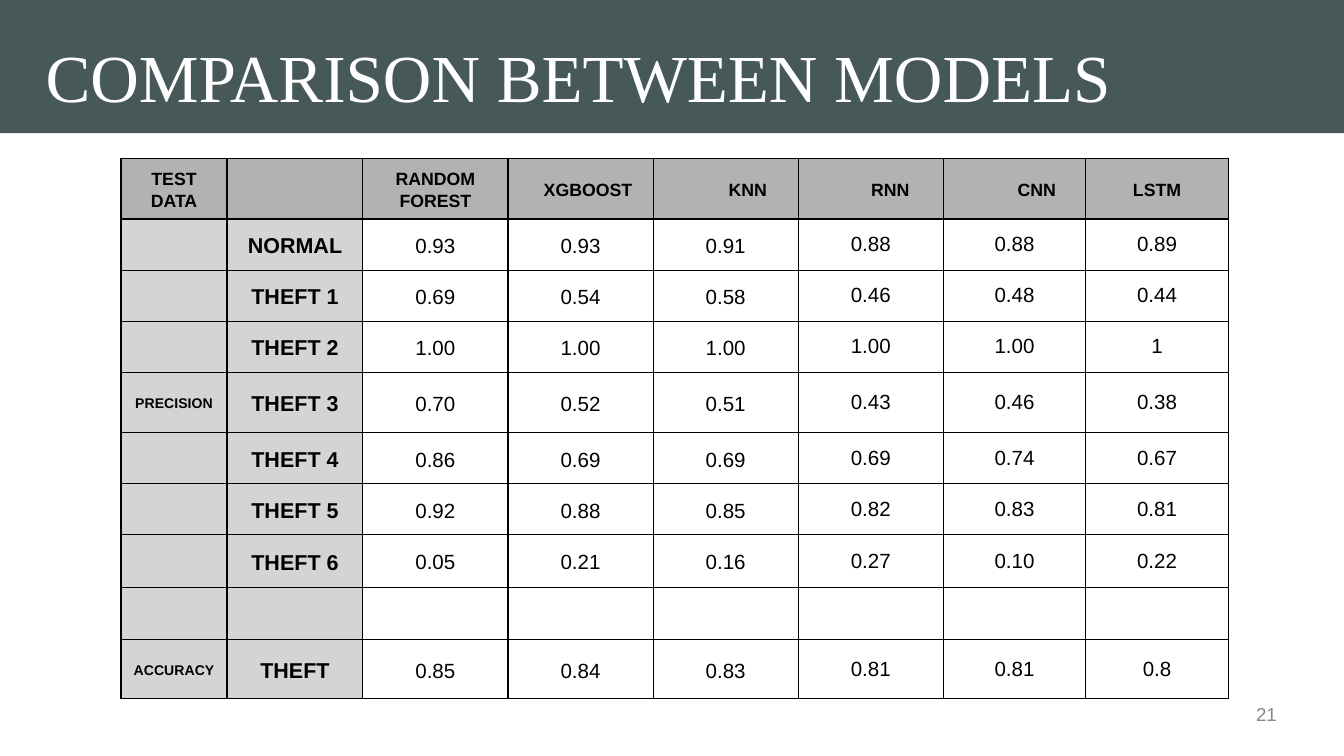
from pptx import Presentation
from pptx.dml.color import RGBColor
from pptx.enum.shapes import MSO_SHAPE
from pptx.enum.text import MSO_ANCHOR, MSO_AUTO_SIZE, PP_ALIGN
from pptx.oxml.ns import qn
from pptx.util import Inches, Pt
from lxml.etree import SubElement

COLORS = {
    "band": "465858",
    "header": "B0B3B2",
    "label": "D4D4D4",
    "white": "FFFFFF",
    "black": "000000",
    "number": "888888",
}
COLS = [0.79, 1.01, 1.08, 1.08, 1.08, 1.08, 1.06, 1.06]
ROWS = [0.45, 0.38, 0.38, 0.38, 0.45, 0.38, 0.38, 0.39, 0.39, 0.44]
HEADER_SHIFT = {3: 0.11, 4: 0.33, 5: 0.29, 6: 0.33}
DATA = [
    ["TEST DATA", "", "RANDOM FOREST", "XGBOOST", "KNN", "RNN", "CNN", "LSTM"],
    ["", "NORMAL", "0.93", "0.93", "0.91", "0.88", "0.88", "0.89"],
    ["", "THEFT 1", "0.69", "0.54", "0.58", "0.46", "0.48", "0.44"],
    ["", "THEFT 2", "1.00", "1.00", "1.00", "1.00", "1.00", "1"],
    ["PRECISION", "THEFT 3", "0.70", "0.52", "0.51", "0.43", "0.46", "0.38"],
    ["", "THEFT 4", "0.86", "0.69", "0.69", "0.69", "0.74", "0.67"],
    ["", "THEFT 5", "0.92", "0.88", "0.85", "0.82", "0.83", "0.81"],
    ["", "THEFT 6", "0.05", "0.21", "0.16", "0.27", "0.10", "0.22"],
    [""] * 8,
    ["ACCURACY", "THEFT", "0.85", "0.84", "0.83", "0.81", "0.81", "0.8"],
]


def rgb(name):
    return RGBColor.from_string(COLORS[name])


def add_run(p, text, size, color, font="Arial", bold=False):
    r = p.add_run()
    r.text = text
    r.font.size = Pt(size)
    r.font.name = font
    r.font.bold = bold
    r.font.color.rgb = rgb(color)


def set_frame(tf, left=0, top=0):
    tf.margin_right = tf.margin_bottom = 0
    tf.margin_left = Inches(left)
    tf.margin_top = Inches(top)
    tf.vertical_anchor = MSO_ANCHOR.TOP
    tf.word_wrap = True
    tf.auto_size = MSO_AUTO_SIZE.NONE


def add_title_band(s, x, y, w, h):
    band = s.shapes.add_shape(MSO_SHAPE.RECTANGLE, Inches(x), Inches(y), Inches(w), Inches(h))
    band.shadow.inherit = False
    band.fill.solid()
    band.fill.fore_color.rgb = rgb("band")
    band.line.fill.background()
    s.shapes._spTree.insert(2, band._element)

    sp = s.shapes.title
    sp.left, sp.top = Inches(x + 0.32), Inches(y + 0.25)
    sp.width, sp.height = Inches(w - 0.65), Inches(0.62)
    set_frame(sp.text_frame, 0.02, 0.01)
    p = sp.text_frame.paragraphs[0]
    p.alignment = PP_ALIGN.LEFT
    add_run(p, "COMPARISON BETWEEN MODELS", 36, "white", "Times New Roman")


def add_page_number(s, x, y, w, h):
    sp = s.shapes.add_textbox(Inches(x), Inches(y), Inches(w), Inches(h))
    set_frame(sp.text_frame)
    p = sp.text_frame.paragraphs[0]
    p.alignment = PP_ALIGN.RIGHT
    add_run(p, "21", 10, "number")


def set_borders(cell):
    tc_pr = cell._tc.get_or_add_tcPr()
    for i, side in enumerate(("lnL", "lnR", "lnT", "lnB")):
        ln = tc_pr.makeelement(qn(f"a:{side}"), {"w": str(Pt(0.75))})
        fill = SubElement(ln, qn("a:solidFill"))
        SubElement(fill, qn("a:srgbClr"), val=COLORS["black"])
        tc_pr.insert(i, ln)


def cell_style(row, col):
    if row == 0:
        return "header", 9.5, True
    if col == 0:
        return "label", 7.5, True
    if col == 1:
        return "label", 11.5, True
    return None, 11, False


def fill_cell(cell, row, col, text):
    color, size, bold = cell_style(row, col)
    if color:
        cell.fill.solid()
        cell.fill.fore_color.rgb = rgb(color)
    else:
        cell.fill.background()
    cell.vertical_anchor = MSO_ANCHOR.MIDDLE
    cell.margin_left = cell.margin_right = Inches(0.04)
    cell.margin_top = cell.margin_bottom = Inches(0.04)
    if row == 0:
        cell.margin_left = Inches(0.04 + HEADER_SHIFT.get(col, 0))
    p = cell.text_frame.paragraphs[0]
    p.alignment = PP_ALIGN.CENTER
    if row == 0 or col < 5:
        p.line_spacing = 1.15
    if text:
        add_run(p, text, size, "black", bold=bold)
    else:
        p.font.size = Pt(size)
    set_borders(cell)


def add_score_table(s, x, y):
    frame = s.shapes.add_table(len(ROWS), len(COLS), Inches(x), Inches(y),
                               Inches(sum(COLS)), Inches(sum(ROWS)))
    table = frame.table
    table.horz_banding = False
    for col, width in zip(table.columns, COLS):
        col.width = Inches(width)
    for row, height in zip(table.rows, ROWS):
        row.height = Inches(height)
    for i, values in enumerate(DATA):
        for j, text in enumerate(values):
            fill_cell(table.cell(i, j), i, j, text)


def main():
    prs = Presentation()
    prs.slide_width = Inches(10)
    prs.slide_height = prs.slide_width * 9 // 16
    s = prs.slides.add_slide(prs.slide_layouts[5])
    add_title_band(s, 0, 0, 10, 0.99)
    add_page_number(s, 7.2, 5.23, 2.3, 0.17)
    add_score_table(s, 0.9, 1.18)
    prs.save("out.pptx")


if __name__ == "__main__":
    main()
